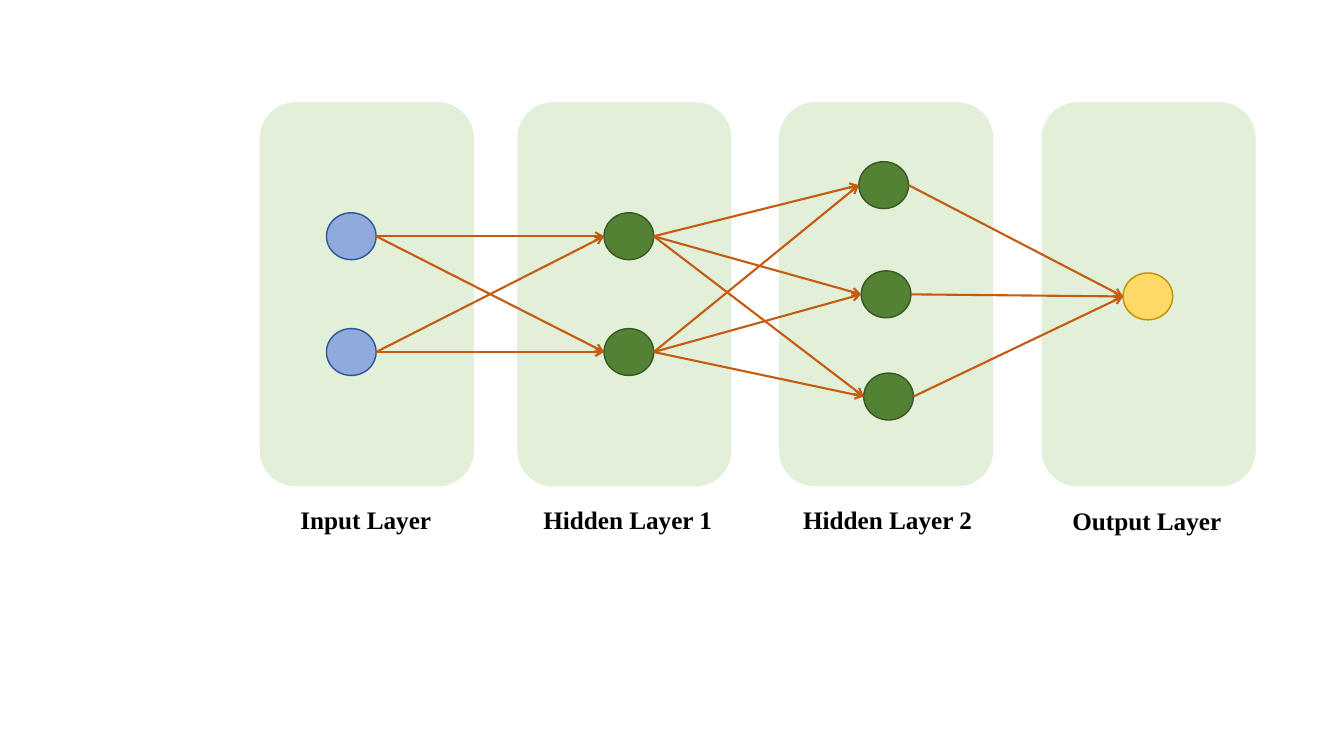
from itertools import product

from lxml import etree
from pptx import Presentation
from pptx.dml.color import RGBColor
from pptx.enum import shapes, text
from pptx.oxml.ns import qn
from pptx.util import Pt

COLORS = {
    "panel": "E2F0D9",
    "input": "8FAADC", "input edge": "2F5597",
    "hidden": "548235", "hidden edge": "385723",
    "output": "FFD966", "output edge": "BF9000",
    "arrow": "C55A11", "label": "000000",
}
PANEL_TOP, PANEL_WIDTH, PANEL_HEIGHT = 73.5, 152, 273.5
NODE_WIDTH, NODE_HEIGHT = 35.5, 33.5

# Label, label left, top and width, panel left, node kind, node corners
LAYERS = [
    ("Input Layer", 207.4, 356.5, 108.7, 186, "input",
     [(233.2, 152), (233.2, 234.7)]),
    ("Hidden Layer 1", 381, 356.5, 136, 370, "hidden",
     [(431.5, 152), (431.5, 234.7)]),
    ("Hidden Layer 2", 566.6, 356.5, 136, 557, "hidden",
     [(613.5, 115.5), (615.2, 193.5), (617, 266.5)]),
    ("Output Layer", 758.9, 357.2, 122.4, 744.5, "output",
     [(802.2, 195)]),
]


def color(name):
    return RGBColor.from_string(COLORS[name])


def add_filled(kind, left, top, width, height, fill, edge):
    shape = slide.shapes.add_shape(kind, Pt(left), Pt(top), Pt(width), Pt(height))
    shape.shadow.inherit = False
    shape.fill.solid()
    shape.fill.fore_color.rgb = color(fill)
    shape.line.color.rgb = color(edge)
    shape.line.width = Pt(1)


deck = Presentation()
deck.slide_width, deck.slide_height = Pt(960), Pt(540)
slide = deck.slides.add_slide(deck.slide_layouts.get_by_name("Blank"))

for label, label_left, label_top, label_width, panel_left, kind, nodes in LAYERS:
    add_filled(shapes.MSO_SHAPE.ROUNDED_RECTANGLE, panel_left, PANEL_TOP,
               PANEL_WIDTH, PANEL_HEIGHT, "panel", "panel")
    for left, top in nodes:
        add_filled(shapes.MSO_SHAPE.OVAL, left, top, NODE_WIDTH, NODE_HEIGHT,
                   kind, f"{kind} edge")

    box = slide.shapes.add_textbox(Pt(label_left), Pt(label_top), Pt(label_width), Pt(29))
    box.text_frame.word_wrap = False
    box.text_frame.auto_size = text.MSO_AUTO_SIZE.SHAPE_TO_FIT_TEXT
    para = box.text_frame.paragraphs[0]
    para.text = label
    para.font.name = "Times New Roman"
    para.font.size = Pt(18)
    para.font.bold = True
    para.font.color.rgb = color("label")

# Every node feeds every node of the next layer
for layer, following in zip(LAYERS, LAYERS[1:]):
    for (left, top), (next_left, next_top) in product(layer[-1], following[-1]):
        arrow = slide.shapes.add_connector(
            shapes.MSO_CONNECTOR.STRAIGHT,
            Pt(left + NODE_WIDTH), Pt(top + NODE_HEIGHT / 2),
            Pt(next_left), Pt(next_top + NODE_HEIGHT / 2))
        arrow.line.color.rgb = color("arrow")
        arrow.line.width = Pt(1.5)
        properties = arrow._element.spPr
        etree.SubElement(properties.find(qn("a:ln")), qn("a:tailEnd"), type="arrow")
        etree.SubElement(properties, qn("a:effectLst"))

deck.save("out.pptx")
